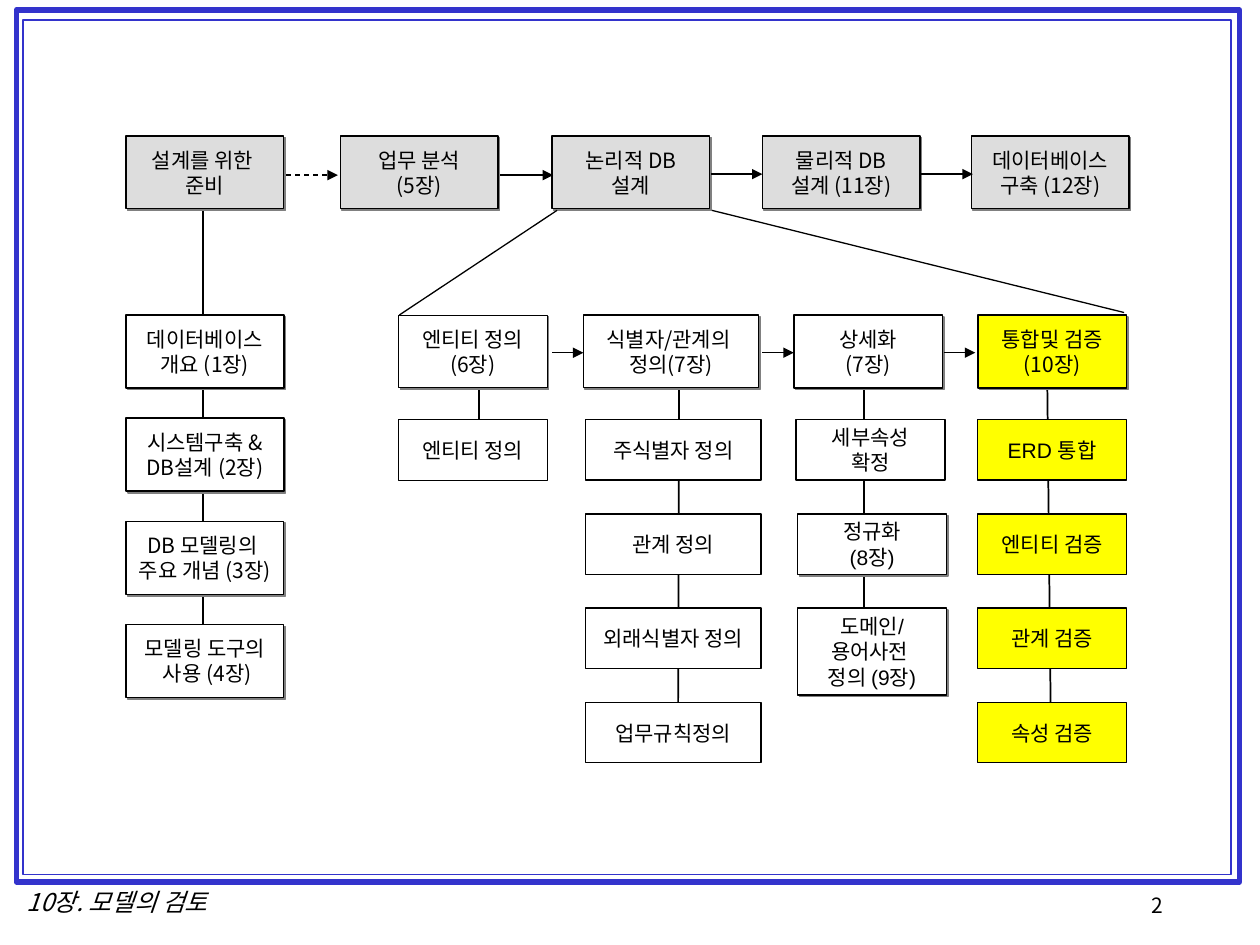
"""Builds the database design roadmap slide."""
from dataclasses import dataclass

from lxml import etree
from pptx import Presentation
from pptx.dml.color import RGBColor
from pptx.enum.dml import MSO_LINE
from pptx.enum.shapes import MSO_CONNECTOR, MSO_SHAPE
from pptx.enum.text import MSO_ANCHOR, PP_ALIGN
from pptx.oxml.ns import qn
from pptx.util import Cm, Pt

RECTANGLE = MSO_SHAPE.RECTANGLE
STRAIGHT = MSO_CONNECTOR.STRAIGHT
DASH = MSO_LINE.DASH
MIDDLE = MSO_ANCHOR.MIDDLE
LEFT, CENTER = PP_ALIGN.LEFT, PP_ALIGN.CENTER


@dataclass(frozen=True)
class Theme:
    ink: RGBColor = RGBColor(0, 0, 0)
    frame: RGBColor = RGBColor(0x33, 0x33, 0xCC)
    phase: RGBColor = RGBColor(0xDD, 0xDD, 0xDD)
    plain: RGBColor = RGBColor(0xFF, 0xFF, 0xFF)
    current: RGBColor = RGBColor(0xFF, 0xFF, 0)
    shadow: str = "808080"
    korean: str = "Noto Sans CJK KR"
    latin: str = "Arial"
    body: int = 12
    footer: int = 14


THEME = Theme()
BOX_HEIGHT = 1.47
PHASE_WIDTH = 3.18
PHASE_TOP = 2.74
STAGE_TOP = 6.35
CHAPTER_PITCH = 2.08
STEP_TOP = 8.46
STEP_PITCH = 1.9
STEP_HEIGHT = 1.22

PHASES = [
    (2.54, "설계를 위한 \n준비"),
    (6.86, "업무 분석\n(5장)"),
    (11.13, "논리적 DB\n설계"),
    (15.37, "물리적 DB\n설계 (11장)"),
    (19.58, "데이터베이스\n구축 (12장)"),
]
CHAPTERS = [
    ("데이터베이스\n개요 (1장)", 1),
    ("시스템구축 &\nDB설계 (2장)", 1),
    ("DB 모델링의 \n주요 개념 (3장)", 0.75),
    ("모델링 도구의\n 사용 (4장)", 0.75),
]


@dataclass(frozen=True)
class Stage:
    """One stage of logical design with the steps below it."""
    left: float
    width: float
    title: str
    weight: float
    spine: tuple
    steps: tuple
    step_weight: float = 0.75
    fill: RGBColor = THEME.plain


STAGES = [
    Stage(8.03, 3, "엔티티 정의\n(6장)", 0.5, (9.65, 7.75, 9.65, 8.59),
          ((8.03, STEP_HEIGHT, "엔티티 정의", False),), 0.5),
    Stage(11.76, 3.53, "식별자/관계의 \n정의(7장)", 0.75, (13.69, 7.39, 13.67, 14.17),
          tuple((11.81, STEP_HEIGHT, text, False) for text in
                ("주식별자 정의", "관계 정의", "외래식별자 정의", "업무규칙정의"))),
    Stage(16, 3, "상세화\n(7장)", 1, (17.42, 7.54, 17.42, 12.34),
          ((16.05, STEP_HEIGHT, "세부속성\n확정", False),
           (16.08, STEP_HEIGHT, "정규화\n(8장)", True),
           (16.08, 1.75, "도메인/\n용어사전 \n정의 (9장)", True))),
    Stage(19.71, 3, "통합및 검증\n(10장)", 1, (21.11, 7.54, 21.18, 14.3),
          tuple((19.71, STEP_HEIGHT, text, False) for text in
                ("ERD 통합", "엔티티 검증", "관계 검증", "속성 검증")),
          fill=THEME.current),
]
PHASE_ARROWS = [(5.77, 6.81, 3.53), (10.08, 11.15, 3.53), (14.33, 15.37, 3.51), (18.54, 19.61, 3.51)]
STAGE_ARROWS = [(11.13, 11.76), (15.37, 16), (19.02, 19.66)]
ZOOM_LINES = [(11.23, 4.24, 8.05, 6.35), (14.35, 4.24, 22.66, 6.3)]


def write_text(frame, text, font, size, align, italic=False):
    """Fill a text frame and format every run."""
    frame.text = text
    for paragraph in frame.paragraphs:
        paragraph.alignment = align
        for span in paragraph.runs:
            span.font.size = Pt(size)
            span.font.name = font
            span.font.italic = italic
            span.font.color.rgb = THEME.ink
            east = etree.SubElement(span.font._element, qn("a:ea"))
            east.set("typeface", THEME.korean)


def add_shadow(shape):
    """Give a shape a hard shadow towards the lower right."""
    effects = shape._element.spPr.find(qn("a:effectLst"))
    shadow = etree.SubElement(effects, qn("a:outerShdw"), dist="17961", dir="2700000",
                              algn="ctr", rotWithShape="0")
    etree.SubElement(shadow, qn("a:srgbClr"), val=THEME.shadow)


def add_rectangle(page, left, top, width, height, color, weight):
    """Add an unfilled, outlined rectangle."""
    shape = page.shapes.add_shape(RECTANGLE, Cm(left), Cm(top), Cm(width), Cm(height))
    shape.shadow.inherit = False
    shape.fill.background()
    shape.line.color.rgb = color
    shape.line.width = Pt(weight)
    return shape


def add_box(page, left, top, width, height, text, fill, weight=0.75, font=THEME.korean, shadow=True):
    """Add a labelled box of the diagram."""
    box = add_rectangle(page, left, top, width, height, THEME.ink, weight)
    box.fill.solid()
    box.fill.fore_color.rgb = fill
    if shadow:
        add_shadow(box)
    box.text_frame.word_wrap = False
    box.text_frame.vertical_anchor = MIDDLE
    write_text(box.text_frame, text, font, THEME.body, CENTER)


def add_line(page, points, weight=0.75, arrow=False, dashed=False):
    """Add a straight line, with an arrowhead at its end if wanted."""
    line = page.shapes.add_connector(STRAIGHT, *(Cm(value) for value in points))
    line.line.color.rgb = THEME.ink
    line.line.width = Pt(weight)
    if dashed:
        line.line.dash_style = DASH
    if arrow:
        etree.SubElement(line.line._get_or_add_ln(), qn("a:tailEnd"), type="triangle")
    etree.SubElement(line._element.spPr, qn("a:effectLst"))


def add_label(page, left, top, width, height, text, size, align, wrap, italic=False):
    """Add a footer text box."""
    box = page.shapes.add_textbox(Cm(left), Cm(top), Cm(width), Cm(height))
    box.text_frame.word_wrap = wrap
    write_text(box.text_frame, text, THEME.korean, size, align, italic)


def add_stage(page, stage):
    """Add a stage, its steps and the line that joins them."""
    add_line(page, stage.spine, 1)
    add_box(page, stage.left, STAGE_TOP, stage.width, BOX_HEIGHT, stage.title, stage.fill, stage.weight)
    for index, (left, height, text, shadow) in enumerate(stage.steps):
        add_box(page, left, STEP_TOP + index * STEP_PITCH, stage.width, height, text,
                stage.fill, stage.step_weight, THEME.latin, shadow)


def main():
    """Build and save the deck."""
    deck = Presentation()
    deck.slide_width, deck.slide_height = Cm(25.4), Cm(19.05)
    page = deck.slides.add_slide(deck.slide_layouts[6])

    add_rectangle(page, 0.33, 0.2, 24.66, 17.58, THEME.frame, 3)
    add_rectangle(page, 0.46, 0.41, 24.36, 17.22, THEME.frame, 1)
    add_label(page, 22.96, 17.86, 2.4, 0.84, "2", THEME.body, LEFT, True)
    add_label(page, 0.1, 17.75, 4.52, 0.86, "10장. 모델의 검토", THEME.footer, CENTER, False, True)

    add_line(page, (4.09, 4.24, 4.09, 12.7))
    for left, text in PHASES:
        add_box(page, left, PHASE_TOP, PHASE_WIDTH, BOX_HEIGHT, text, THEME.phase)
    for index, (text, weight) in enumerate(CHAPTERS):
        add_box(page, PHASES[0][0], STAGE_TOP + index * CHAPTER_PITCH, PHASE_WIDTH, BOX_HEIGHT,
                text, THEME.plain, weight)
    for stage in STAGES:
        add_stage(page, stage)

    for index, (start, end, level) in enumerate(PHASE_ARROWS):
        add_line(page, (start, level, end, level), arrow=True, dashed=index == 0)
    for start, end in STAGE_ARROWS:
        add_line(page, (start, 7.11, end, 7.11), arrow=True)
    for points in ZOOM_LINES:
        add_line(page, points)
    deck.save("out.pptx")


if __name__ == "__main__":
    main()
